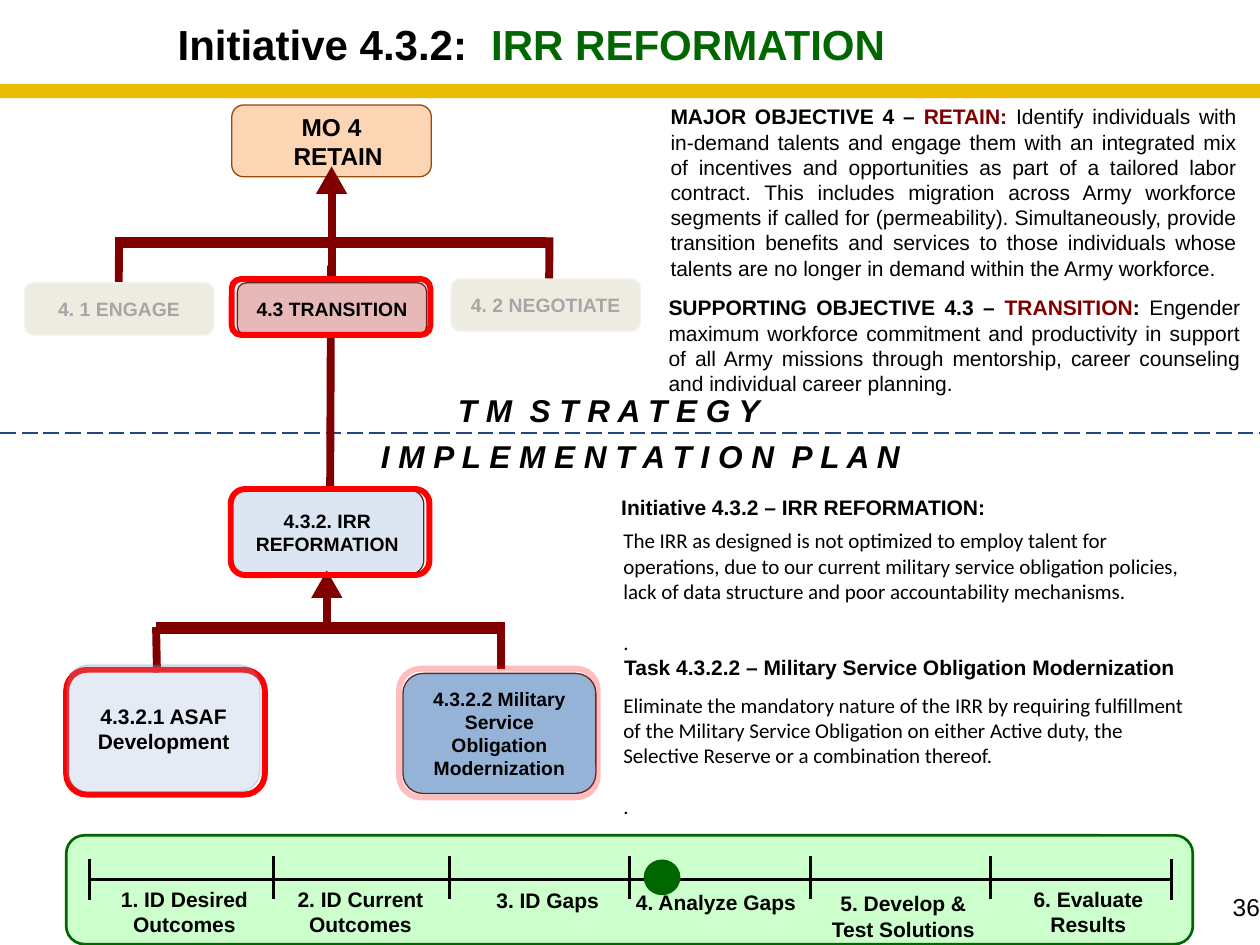
from lxml import etree
from pptx import Presentation
from pptx import util as u
from pptx.dml import color
from pptx.enum import dml, shapes, text
from pptx.oxml import ns

Pt = u.Pt
KIND = shapes.MSO_SHAPE
CENTER, JUSTIFY = text.PP_ALIGN.CENTER, text.PP_ALIGN.JUSTIFY
LEFT, RIGHT = text.PP_ALIGN.LEFT, text.PP_ALIGN.RIGHT
TOP, MIDDLE = text.MSO_ANCHOR.TOP, text.MSO_ANCHOR.MIDDLE
MAROON, GREEN, RED, BROWN = "800000", "006600", "FF0000", "632523"
BLACK, FADED = "000000", "A6A6A6"
PLAIN = {"bold": False}


def rgb(code):
    return color.RGBColor.from_string(code)


class Board:
    """The current slide and its style."""

    base = {"name": "Arial", "size": 16, "bold": True, "color": BLACK}

    def __init__(self, slide):
        self.items = slide.shapes

    def set_font(self, font, style):
        for key, value in {**self.base, **style}.items():
            if key == "color":
                font.color.rgb = rgb(value)
            else:
                setattr(font, key, Pt(value) if key == "size" else value)

    def set_text(self, frame, paragraphs, align=CENTER, anchor=MIDDLE, gap=0, **style):
        """Each paragraph is a string or a list of (text, style) runs."""
        frame.vertical_anchor = anchor
        for i, runs in enumerate(paragraphs):
            p = frame.paragraphs[0] if i == 0 else frame.add_paragraph()
            p.alignment = align
            if i and gap:
                p.space_before = Pt(gap)
            for words, change in [(runs, {})] if isinstance(runs, str) else runs:
                run = p.add_run()
                run.text = words
                self.set_font(run.font, {**style, **change})

    def label(self, at, paragraphs, wrap=True, insets=None, **style):
        frame = self.items.add_textbox(*map(Pt, at)).text_frame
        frame.word_wrap = wrap
        frame.auto_size = text.MSO_AUTO_SIZE.SHAPE_TO_FIT_TEXT
        for side, inset in (insets or {}).items():
            setattr(frame, f"margin_{side}", Pt(inset))
        self.set_text(frame, paragraphs, **style)

    def fade(self, node, percent):
        for tint in node.iter(ns.qn("a:srgbClr")):
            etree.SubElement(tint, ns.qn("a:alpha"), val=str(percent * 1000))

    def shape(self, kind, at, fill=None, line=None, weight=1, opacity=100,
              words=None, **style):
        shape = self.items.add_shape(kind, *map(Pt, at))
        shape.shadow.inherit = False
        if fill:
            shape.fill.solid()
            shape.fill.fore_color.rgb = rgb(fill)
        else:
            shape.fill.background()
        if line:
            shape.line.color.rgb = rgb(line)
            shape.line.width = Pt(weight)
        else:
            shape.line.fill.background()
        if opacity < 100:
            self.fade(shape.element.spPr, opacity)
        if words:
            shape.text_frame.word_wrap = True
            self.set_text(shape.text_frame, words, **style)
        return shape

    def box(self, at, **options):
        return self.shape(KIND.ROUNDED_RECTANGLE, at, **options)

    def line(self, x1, y1, x2, y2, stroke=MAROON, weight=6, dash=None):
        line = self.items.add_connector(
            shapes.MSO_CONNECTOR.STRAIGHT, *map(Pt, (x1, y1, x2, y2)))
        line.line.color.rgb = rgb(stroke)
        line.line.width = Pt(weight)
        if dash:
            line.line.dash_style = dash
        etree.SubElement(line.element.spPr, ns.qn("a:effectLst"))


def build():
    deck = Presentation()
    deck.slide_width, deck.slide_height = Pt(959.04), Pt(719.28)
    board = Board(deck.slides.add_slide(deck.slide_layouts[6]))

    # Header
    board.shape(KIND.RECTANGLE, (0, 64, 959.04, 10.8), fill="EABD00")
    board.label((126, 10.8, 557.3, 46), [
        [("Initiative 4.3.2:  ", {}), ("IRR REFORMATION", {"color": GREEN})]],
        wrap=False, anchor=TOP, size=32)

    # Divider between strategy and plan
    board.line(0, 329.8, 959.04, 329.8, "1F497D", 1.5, dml.MSO_LINE.LONG_DASH)
    for at, heading in (
            ((340.6, 293.8, 245.5, 36), "T M  S T R A T E G Y"),
            ((281.5, 329, 411.8, 36), "I M P L E M E N T A T I O N  P L A N")):
        board.label(at, [heading], wrap=False, anchor=TOP, size=24, italic=True)

    # Objective tree
    objective = board.box((176.4, 79.9, 151.9, 54.7), fill="FCD5B5", line="984807",
                          words=["MO 4", "RETAIN"], size=18.6)
    retain = objective.text_frame.paragraphs[1]
    retain._p.get_or_add_pPr().set("marL", str(Pt(10)))
    board.line(252, 202.3, 251.3, 372.2)
    board.box((175.7, 373, 146.9, 64.1), fill="DCE6F2", line=BROWN,
              words=["4.3.2. IRR REFORMATION"], size=14.7)
    board.line(418.3, 180.7, 417.6, 251.3)
    board.line(90.7, 180.7, 90, 251.3)
    board.line(252.7, 138.2, 252.7, 218.2)
    for left, top, name, fill, line, ink in (
            (343.4, 212.4, "4. 2 NEGOTIATE", "EEECE1", "F2F2F2", FADED),
            (18.7, 215.3, "4. 1 ENGAGE", "EEECE1", "F2F2F2", FADED),
            (180.7, 215.3, "4.3 TRANSITION", "E6B9B8", BROWN, BLACK)):
        board.box((left, top, 144, 39.6), fill=fill, line=line,
                  words=[name], size=14.7, color=ink)

    # Task tree
    board.line(118.8, 477.4, 119.5, 511.9)
    board.line(249.1, 453.6, 249.1, 481.7)
    board.line(381.6, 473.8, 381.6, 509)
    board.box((306.7, 512.6, 146.9, 91.4), fill="95B3D7", line=BROWN,
              words=["4.3.2.2 Military Service Obligation Modernization"], size=14.7)

    # Crossbars and arrow tips of both trees
    for bar, tip in (((87.8, 180.7, 327.6, 7.9), (240.5, 126.7)),
                     ((118.8, 473.8, 263.5, 7.9), (236.9, 434.2))):
        board.shape(KIND.RECTANGLE, bar, fill=MAROON, line=MAROON, weight=0.5)
        board.shape(KIND.ISOSCELES_TRIANGLE, (*tip, 23.8, 20.9), fill=MAROON)

    # Red highlights
    for left, top, height, opacity in (
            (176.4, 212.4, 42.5, 100), (175.7, 372.2, 65.5, 100),
            (50.4, 509.8, 95, 100), (303.8, 509, 97.9, 25)):
        board.box((left, top, 151.2, height), line=RED, weight=4.5, opacity=opacity)
    board.box((51.1, 506.2, 146.9, 96.5), fill="95B3D7", line="4F81BD", opacity=25,
              words=["4.3.2.1 ASAF Development"])

    # Objectives
    board.label((503.3, 74.9, 445, 142.6), [[
        ("MAJOR OBJECTIVE 4 – ", {}), ("RETAIN: ", {"color": MAROON}),
        ("Identify individuals with in-demand talents and engage them with an "
         "integrated mix of incentives and opportunities as part of a tailored labor "
         "contract. This includes migration across Army workforce segments if called "
         "for (permeability). Simultaneously, provide transition benefits and services "
         "to those individuals whose talents are no longer in demand within the Army "
         "workforce.", PLAIN)]], align=JUSTIFY)
    board.label((501.8, 220.3, 449.3, 85), [[
        ("SUPPORTING OBJECTIVE 4.3 – ", {}), ("TRANSITION", {"color": MAROON}),
        (": ", {}),
        ("Engender maximum workforce commitment and productivity in support of all "
         "Army missions through mentorship, career counseling and individual career "
         "planning.", PLAIN)]], align=JUSTIFY)

    # Initiative and task descriptions
    for heading_at, heading, top, description in (
            ((465.8, 373, 478.1, 26.6), "Initiative 4.3.2 – IRR REFORMATION:", 398.2,
             "The IRR as designed is not optimized to employ talent for operations, due "
             "to our current military service obligation policies, lack of data "
             "structure and poor accountability mechanisms."),
            ((468, 494.6, 474.5, 26.6),
             "Task 4.3.2.2 – Military Service Obligation Modernization", 523.4,
             "Eliminate the mandatory nature of the IRR by requiring fulfillment of the "
             "Military Service Obligation on either Active duty, the Selective Reserve "
             "or a combination thereof.")):
        board.label(heading_at, [heading], align=JUSTIFY)
        board.label((431.3, top, 479.5, 104.4), [description, "."], align=LEFT,
                    anchor=TOP, insets={"left": 43.2}, gap=19.5,
                    name="Calibri", bold=False)

    # Timeline
    board.box((50.4, 635.8, 857.5, 82.8), fill="CCFFCC", line=GREEN, weight=2)
    board.line(67.7, 669.6, 891.4, 669.6, BLACK, 2.25)
    for x in (68.4, 891.4):
        board.line(x, 653.8, x, 685.4, BLACK, 2.25)
    for x in (208.1, 342, 479.5, 617, 753.8):
        board.line(x, 651.6, x, 684, BLACK, 2.25)
    for left, top, width, height, step in (
            (80.6, 671, 119.5, 46, ["1. ID Desired Outcomes"]),
            (214.6, 671, 119.5, 46, ["2. ID Current Outcomes"]),
            (357.1, 671.8, 119.5, 26.6, ["3. ID Gaps"]),
            (476.6, 673.9, 136.8, 26.6, ["4. Analyze Gaps"]),
            (619.2, 674.6, 136.8, 46, ["5. Develop & Test Solutions"]),
            (753.1, 671, 150.5, 46, ["6. Evaluate", "Results"])):
        board.label((left, top, width, height), step, anchor=TOP)
    board.shape(KIND.OVAL, (491, 655.2, 25.9, 25.2), fill=GREEN, line=GREEN, weight=2)

    # Page number
    board.label((936, 679, 23, 22.3), ["36"], wrap=False, align=RIGHT, anchor=TOP,
                insets=dict.fromkeys(("left", "top", "right", "bottom"), 0),
                size=18.6, bold=False)

    deck.save("out.pptx")


if __name__ == "__main__":
    build()
